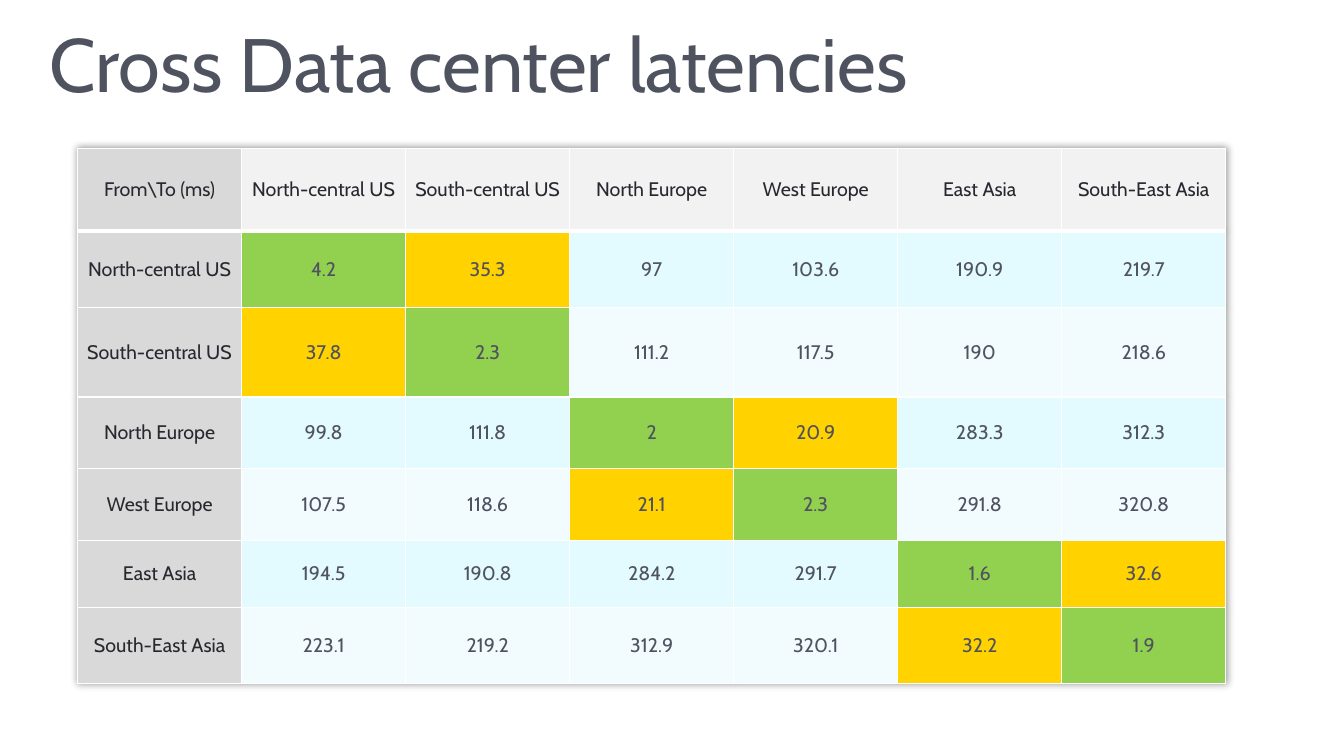
import pptx
import pptx.util
import pptx.dml.color
import pptx.enum.text
import pptx.oxml
import pptx.oxml.ns
from dataclasses import dataclass
from lxml import etree

Inches = pptx.util.Inches
Pt = pptx.util.Pt
qn = pptx.oxml.ns.qn


@dataclass(frozen=True)
class Theme:
    font: str = "Cabin"
    title: int = 54
    body: int = 14
    dark: str = "28292F"
    slate: str = "4F525F"
    corner: str = "D9D9D9"
    head: str = "F2F2F2"
    bands: tuple = ("E3FAFF", "F2FCFF")
    same: str = "92D050"
    near: str = "FFD200"
    rule: str = "FFFFFF"


THEME = Theme()
SITES = ["North-central US", "South-central US", "North Europe",
         "West Europe", "East Asia", "South-East Asia"]
DELAYS = [
    ["4.2", "35.3", "97", "103.6", "190.9", "219.7"],
    ["37.8", "2.3", "111.2", "117.5", "190", "218.6"],
    ["99.8", "111.8", "2", "20.9", "283.3", "312.3"],
    ["107.5", "118.6", "21.1", "2.3", "291.8", "320.8"],
    ["194.5", "190.8", "284.2", "291.7", "1.6", "32.6"],
    ["223.1", "219.2", "312.9", "320.1", "32.2", "1.9"],
]
HEIGHTS = [0.82, 0.76, 0.89, 0.71, 0.71, 0.67, 0.75]
WIDTH = 11.39


def rgb(code):
    return pptx.dml.color.RGBColor.from_string(code)


def add_run(para, text, size, color):
    run = para.add_run()
    run.text = text
    run.font.name = THEME.font
    run.font.size = Pt(size)
    run.font.bold = False
    run.font.color.rgb = rgb(color)


def add_title(slide, text):
    title = slide.shapes.title
    title.left, title.top = Inches(0.39), Inches(0.12)
    title.width, title.height = Inches(9.17), Inches(1.01)
    frame = title.text_frame
    frame.word_wrap = False
    frame.auto_size = pptx.enum.text.MSO_AUTO_SIZE.SHAPE_TO_FIT_TEXT
    frame.vertical_anchor = pptx.enum.text.MSO_ANCHOR.TOP
    para = frame.paragraphs[0]
    para.alignment = pptx.enum.text.PP_ALIGN.LEFT
    add_run(para, text, THEME.title, THEME.slate)


def set_rules(cell, base):
    # Borders come before the fill in the cell properties
    props = cell._tc.get_or_add_tcPr()
    for place, side in enumerate(("lnL", "lnR", "lnT", "lnB")):
        width = base if side == "lnB" else 1
        line = etree.Element(qn("a:" + side), w=str(Pt(width)))
        fill = etree.SubElement(line, qn("a:solidFill"))
        etree.SubElement(fill, qn("a:srgbClr"), val=THEME.rule)
        props.insert(place, line)


def set_cell(cell, text, fill, color, base):
    cell.fill.solid()
    cell.fill.fore_color.rgb = rgb(fill)
    cell.vertical_anchor = pptx.enum.text.MSO_ANCHOR.MIDDLE
    cell.margin_left = cell.margin_right = Inches(0.02)
    cell.margin_top = cell.margin_bottom = Inches(0.02)
    para = cell.text_frame.paragraphs[0]
    para.alignment = pptx.enum.text.PP_ALIGN.CENTER
    add_run(para, text, THEME.body, color)
    set_rules(cell, base)


def add_glow(table):
    # Soft shadow around the whole table
    effects = pptx.oxml.parse_xml(
        '<a:effectLst xmlns:a="http://schemas.openxmlformats.org/drawingml/2006/main">'
        '<a:outerShdw blurRad="63500" dist="0" dir="0" algn="ctr">'
        '<a:srgbClr val="000000"><a:alpha val="40000"/></a:srgbClr>'
        '</a:outerShdw></a:effectLst>')
    table._tbl.tblPr.insert(0, effects)


def pick_fill(row, col):
    if col == 0:
        return THEME.corner
    if row == 0:
        return THEME.head
    if row == col:
        return THEME.same
    # Sites come in pairs that share a region
    if (row - 1) // 2 == (col - 1) // 2:
        return THEME.near
    return THEME.bands[(row - 1) % 2]


def add_grid(slide, rows):
    count = len(rows[0])
    table = slide.shapes.add_table(
        len(rows), count, Inches(0.77), Inches(1.47),
        Inches(WIDTH), Inches(sum(HEIGHTS))).table
    for col in table.columns:
        col.width = Inches(WIDTH / count)
    for r, texts in enumerate(rows):
        table.rows[r].height = Inches(HEIGHTS[r])
        for c, text in enumerate(texts):
            color = THEME.slate if r and c else THEME.dark
            base = 1 if r else 3
            set_cell(table.cell(r, c), text, pick_fill(r, c), color, base)
    add_glow(table)


def main():
    deck = pptx.Presentation()
    deck.slide_width, deck.slide_height = Inches(13.33), Inches(7.5)
    slide = deck.slides.add_slide(deck.slide_layouts[5])

    # Latency table, one row and one column per site
    rows = [["From\\To (ms)"] + SITES]
    rows += [[site] + delays for site, delays in zip(SITES, DELAYS)]
    add_grid(slide, rows)

    # Heading
    add_title(slide, "Cross Data center latencies")
    deck.save("out.pptx")


if __name__ == "__main__":
    main()
